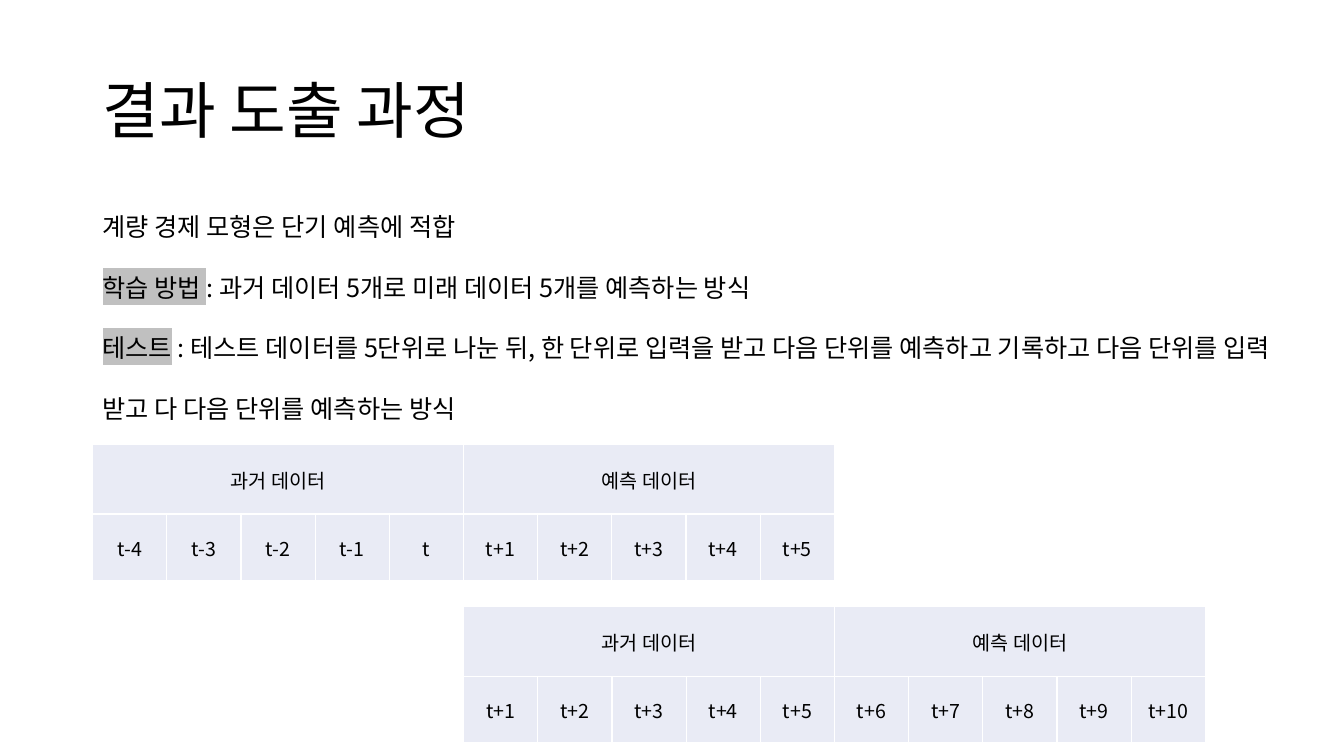
from pptx import Presentation
from pptx.dml.color import RGBColor
from pptx.enum.text import MSO_ANCHOR, PP_ALIGN
from pptx.oxml import parse_xml
from pptx.oxml.ns import nsdecls
from pptx.util import Pt

BLACK = RGBColor(0x00, 0x00, 0x00)
WHITE = RGBColor(0xFF, 0xFF, 0xFF)
GRAY = RGBColor(0xC0, 0xC0, 0xC0)
PALE = RGBColor(0xE9, 0xEB, 0xF5)
LEFT = 66.2
COL = 53
STEP = 5


def paint(tag, color, attrs=""):
    """Return an XML element holding one colour."""
    inner = f'<a:srgbClr val="{color}"/>'
    if tag != "highlight":
        inner = f"<a:solidFill>{inner}</a:solidFill>"
    return parse_xml(f'<a:{tag} {nsdecls("a")} {attrs}>{inner}</a:{tag}>')


class Deck:
    """Holds the style and the current slide."""

    font = "Noto Sans CJK KR"

    def __init__(self):
        """Start a deck with one blank slide."""
        self.prs = Presentation()
        self.prs.slide_width, self.prs.slide_height = Pt(960), Pt(540)
        self.slide = self.prs.slides.add_slide(self.prs.slide_layouts[6])

    def run(self, para, text, size, mark=None):
        """Add one run, with a highlight if a mark colour is given."""
        run = para.add_run()
        run.text = text
        run.font.size = Pt(size)
        run.font.color.rgb = BLACK
        run.font.name = self.font
        props = run.font._element
        if mark:
            props.insert(1, paint("highlight", mark))
        props.append(parse_xml(
            f'<a:ea {nsdecls("a")} typeface="{self.font}"/>'))

    def text(self, box, paras, size, pitch, anchor=MSO_ANCHOR.TOP):
        """Add a text box from paragraphs of (text, mark) runs."""
        frame = self.slide.shapes.add_textbox(*map(Pt, box)).text_frame
        frame.word_wrap = True
        frame.vertical_anchor = anchor
        for i, runs in enumerate(paras):
            para = frame.add_paragraph() if i else frame.paragraphs[0]
            para.line_spacing = pitch
            for words, mark in runs:
                self.run(para, words, size, mark)

    def cell(self, cell, text):
        """Style one table cell and fill in its text."""
        cell.fill.solid()
        cell.fill.fore_color.rgb = PALE
        cell.vertical_anchor = MSO_ANCHOR.MIDDLE
        cell.margin_left = cell.margin_right = cell.margin_top = Pt(0.7)
        cell.margin_bottom = Pt(0)
        props = cell._tc.get_or_add_tcPr()
        for i, side in enumerate(("lnL", "lnR", "lnT", "lnB")):
            props.insert(i, paint(side, WHITE, f'w="{Pt(1)}"'))
        if text:
            para = cell.text_frame.paragraphs[0]
            para.alignment = PP_ALIGN.CENTER
            self.run(para, text, 14)

    def table(self, left, top, first):
        """Add a window of past and predicted steps from t+first."""
        heads = ("과거 데이터", "예측 데이터")
        count = STEP * len(heads)
        table = self.slide.shapes.add_table(
            2, count, Pt(left), Pt(top), Pt(COL * count), Pt(97.2)).table
        table.first_row = table.horz_banding = False
        for row, height in zip(table.rows, (49.7, 47.5)):
            row.height = Pt(height)
        for i in range(count):
            table.columns[i].width = Pt(COL)
            time = first + i
            part, rest = divmod(i, STEP)
            self.cell(table.cell(0, i), "" if rest else heads[part])
            self.cell(table.cell(1, i), f"t{time:+d}" if time else "t")
        for i in range(0, count, STEP):
            table.cell(0, i).merge(table.cell(0, i + STEP - 1))


deck = Deck()
deck.text((LEFT, 28.8, 828, 104.4), [[("결과 도출 과정", None)]],
          44, 0.9, MSO_ANCHOR.MIDDLE)
deck.text((LEFT, 126, 853.2, 175), [
    [("계량 경제 모형은 단기 예측에 적합", None)],
    [("학습 방법 ", GRAY),
     (": 과거 데이터 5개로 미래 데이터 5개를 예측하는 방식", None)],
    [("테스트", GRAY),
     (" : 테스트 데이터를 5단위로 나눈 뒤, 한 단위로 입력을 받고 "
      "다음 단위를 예측하고 기록하고 다음 단위를 입력 받고 "
      "다 다음 단위를 예측하는 방식", None)],
], 18, Pt(43.2))
deck.table(LEFT, 317.5, -4)
deck.table(LEFT + STEP * COL, 433.4, 1)
deck.prs.save("out.pptx")
